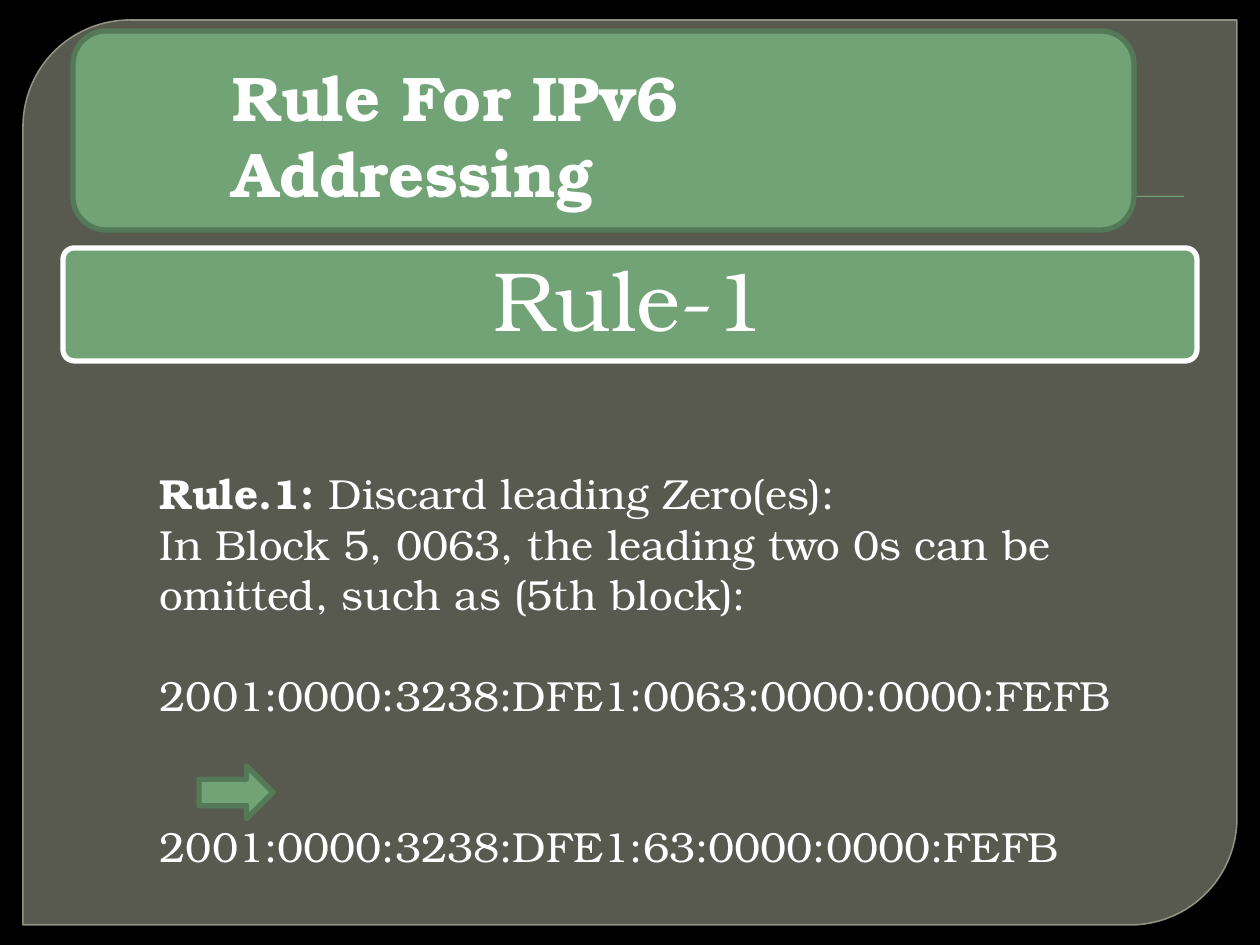
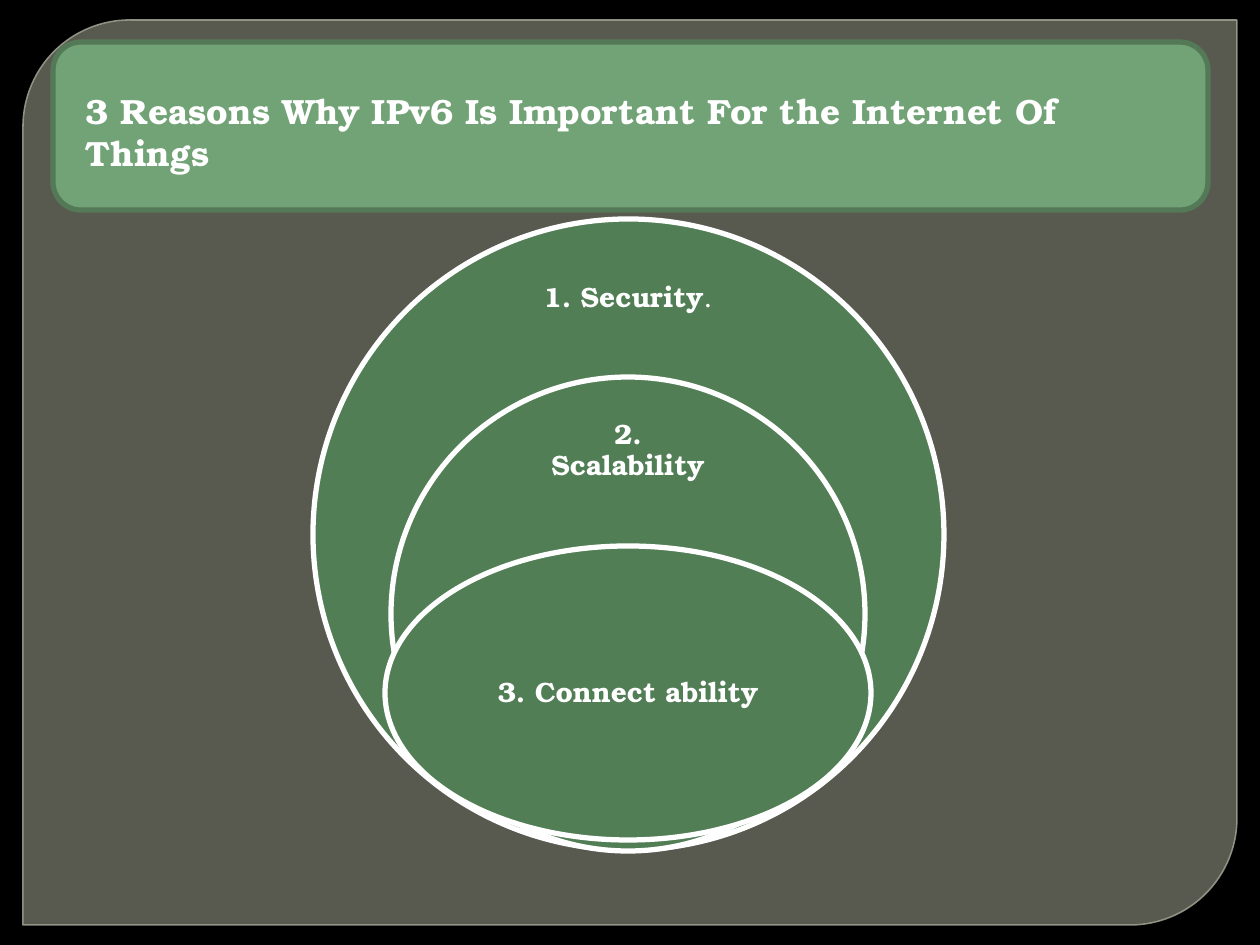
"""Build two dark slides on IPv6: an addressing rule and three reasons for it."""
from lxml import etree
from pptx import Presentation
from pptx.dml.color import RGBColor
from pptx.enum.shapes import MSO_SHAPE
from pptx.enum.text import MSO_ANCHOR, PP_ALIGN
from pptx.oxml.ns import qn
from pptx.util import Emu, Pt

ROUND, OVAL, RECT = MSO_SHAPE.ROUNDED_RECTANGLE, MSO_SHAPE.OVAL, MSO_SHAPE.RECTANGLE
FRAME, ARROW = MSO_SHAPE.ROUND_2_DIAG_RECTANGLE, MSO_SHAPE.RIGHT_ARROW
TOP, MIDDLE = MSO_ANCHOR.TOP, MSO_ANCHOR.MIDDLE
LEFT, CENTER = PP_ALIGN.LEFT, PP_ALIGN.CENTER

BLACK = RGBColor(0x00, 0x00, 0x00)
WHITE = RGBColor(0xFF, 0xFF, 0xFF)
GREEN = RGBColor(0x72, 0xA3, 0x76)
EDGE = RGBColor(0x54, 0x79, 0x57)
DEEP = RGBColor(0x52, 0x7E, 0x56)
STONE = RGBColor(0x88, 0x8B, 0x7B)
RIM = RGBColor(0x9D, 0xA0, 0x90)

FONT = "TeX Gyre Bonum"
SCALE = 914400 // 126
SIDES = ("left", "right", "top", "bottom")
PLAIN = {"align": LEFT, "anchor": TOP, "insets": (13, 13, 6, 6), "spacing": 1.0}
LABEL = {"align": CENTER, "anchor": MIDDLE, "insets": (16,) * 4, "spacing": 0.9}
BAND = {**LABEL, "insets": (13, 13, 9, 9)}


def draw(slide, kind, box, fill, edge=None, width=3):
    shape = slide.shapes.add_shape(kind, *(Emu(n * SCALE) for n in box))
    shape.shadow.inherit = False
    shape.fill.solid()
    shape.fill.fore_color.rgb = fill
    if edge is None:
        shape.line.fill.background()
    else:
        shape.line.color.rgb = edge
        shape.line.width = Pt(width)
    return shape


def write(slide, box, size, paras, style=PLAIN):
    frame = slide.shapes.add_textbox(*(Emu(n * SCALE) for n in box)).text_frame
    frame.word_wrap = True
    frame.vertical_anchor = style["anchor"]
    for side, inset in zip(SIDES, style["insets"]):
        setattr(frame, "margin_" + side, Emu(inset * SCALE))
    for i, (before, runs) in enumerate(paras):
        para = frame.add_paragraph() if i else frame.paragraphs[0]
        look = {"alignment": style["align"], "line_spacing": style["spacing"],
                "space_before": Pt(before)}
        for name, value in look.items():
            setattr(para, name, value)
        for text, bold in runs:
            run = para.add_run()
            run.text = text
            run.font.color.rgb = WHITE
            for name, value in {"name": FONT, "size": Pt(size), "bold": bold}.items():
                setattr(run.font, name, value)


deck = Presentation()
deck.slide_width, deck.slide_height = Emu(1260 * SCALE), Emu(945 * SCALE)
slides = [deck.slides.add_slide(deck.slide_layouts[6]) for _ in range(2)]
for slide in slides:
    slide.background.fill.solid()
    slide.background.fill.fore_color.rgb = BLACK
    panel = draw(slide, FRAME, (23, 20, 1214, 905), STONE, RIM, 0.87)
    panel.adjustments[0], panel.adjustments[1] = 0.118, 0
    props = panel.fill._xPr
    for node, alpha in ((props.find(qn("a:solidFill")), 65000),
                        (props.find(qn("a:ln")), 88000)):
        color = next(node.iter(qn("a:srgbClr")))
        etree.SubElement(color, qn("a:alpha"), val=str(alpha))
    draw(slide, RECT, (81, 196, 1103, 1), GREEN)

rule, reasons = slides
band = draw(rule, ROUND, (63, 248, 1134, 113), GREEN, WHITE)
band.adjustments[0] = 0.1
write(rule, (66, 251, 1128, 107), 48, [(0, [("Rule-1", False)])], BAND)
draw(rule, ROUND, (73, 31, 1061, 199), GREEN, EDGE)
write(rule, (220, 53, 845, 165), 36, [(0, [("Rule For IPv6 Addressing", True)])])
write(rule, (147, 462, 1018, 369), 24, [
    (0, [("Rule.1:", True), ("\u00a0Discard leading Zero(es):", False)]),
    (0, [("In Block 5, 0063, the leading two 0s can be omitted, "
          "such as (5th block):", False)]),
    (28.8, [("2001:0000:3238:DFE1:0063:0000:0000:FEFB", False)]),
    (57.5, [("2001:0000:3238:DFE1:63:0000:0000:FEFB", False)]),
])
draw(rule, ARROW, (199, 766, 74, 53), GREEN, EDGE)

rings = [
    ((313, 219, 631, 631), (518, 251, 220, 94), [("1. Security", True), (".", False)]),
    ((391, 377, 474, 474), (518, 407, 220, 88), [("2. Scalability", True)]),
    ((385, 546, 486, 294), (456, 620, 344, 146), [("3. Connect ability", True)]),
]
for ring, box, runs in rings:
    draw(reasons, OVAL, ring, DEEP, WHITE)
    write(reasons, box, 16, [(0, runs)], LABEL)
draw(reasons, ROUND, (53, 42, 1155, 168), GREEN, EDGE)
write(reasons, (73, 84, 1124, 124), 20, [
    (0, [("3 Reasons Why IPv6 Is Important For the Internet Of Things", True)])])

deck.save("out.pptx")
